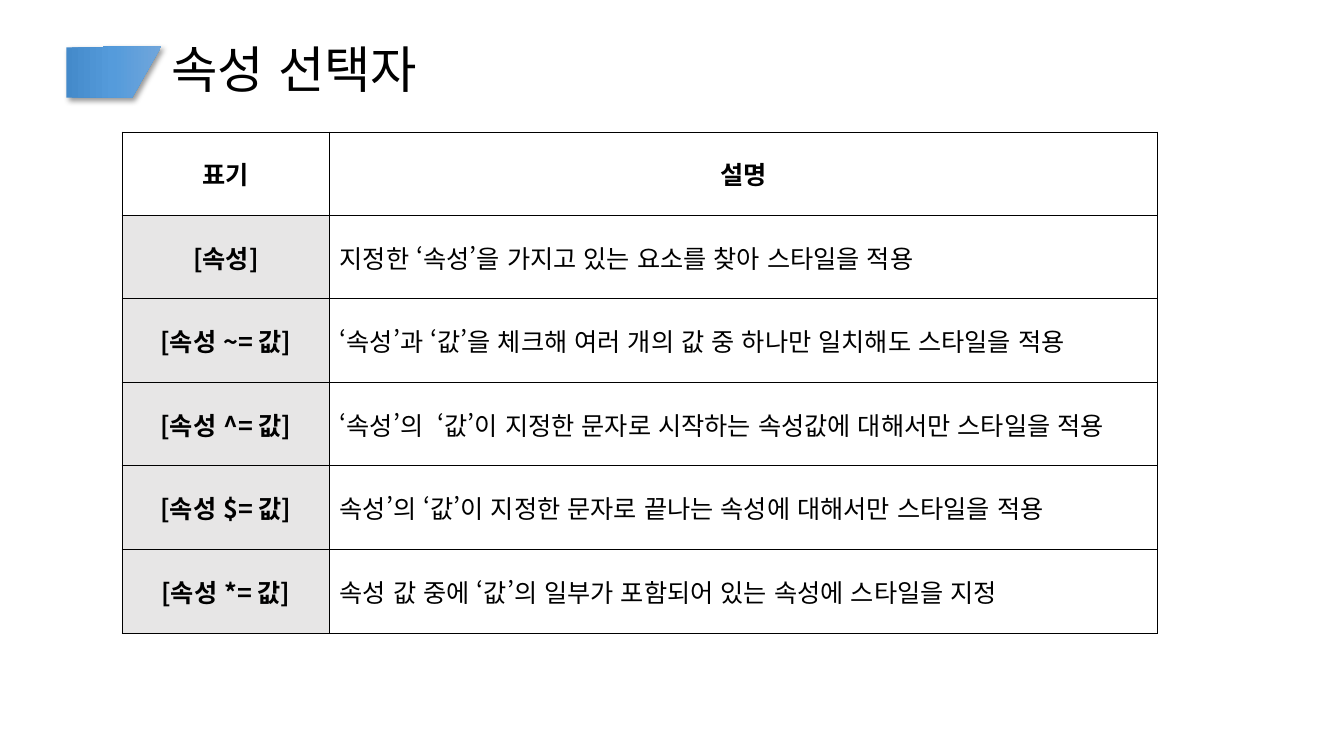
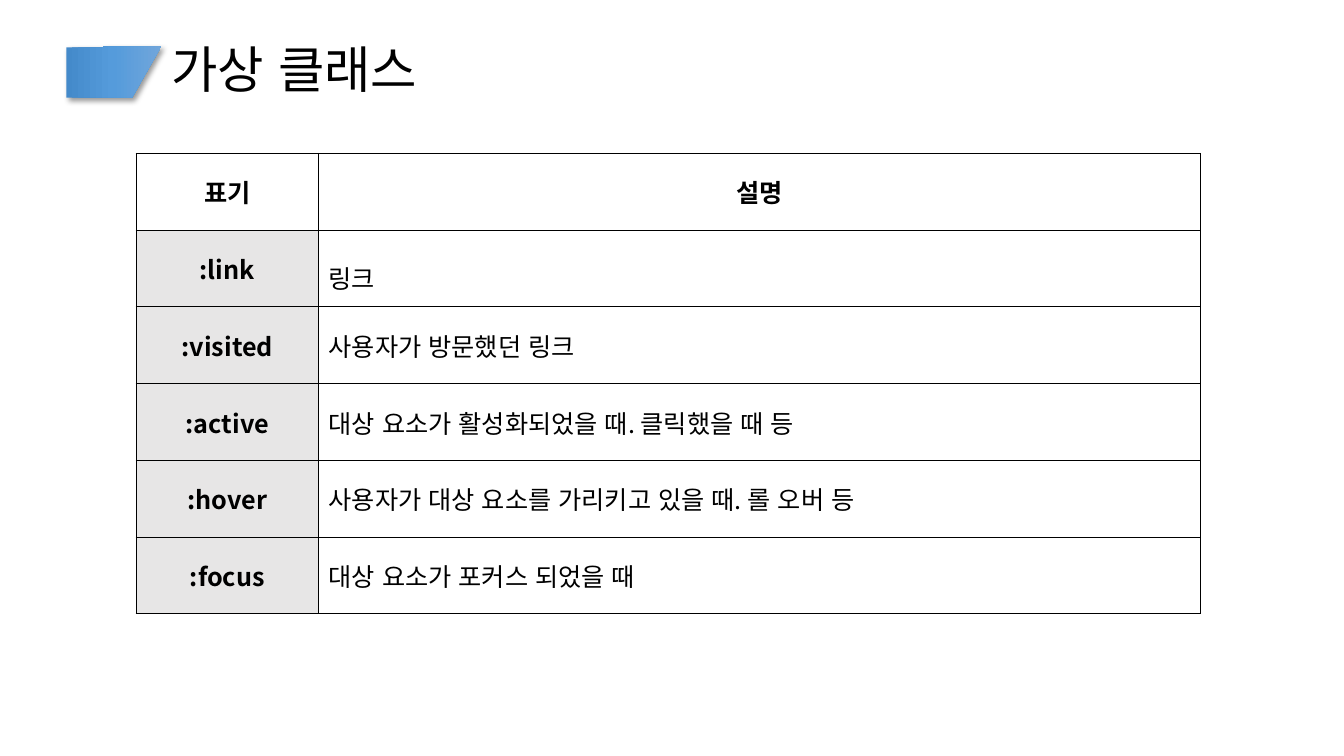
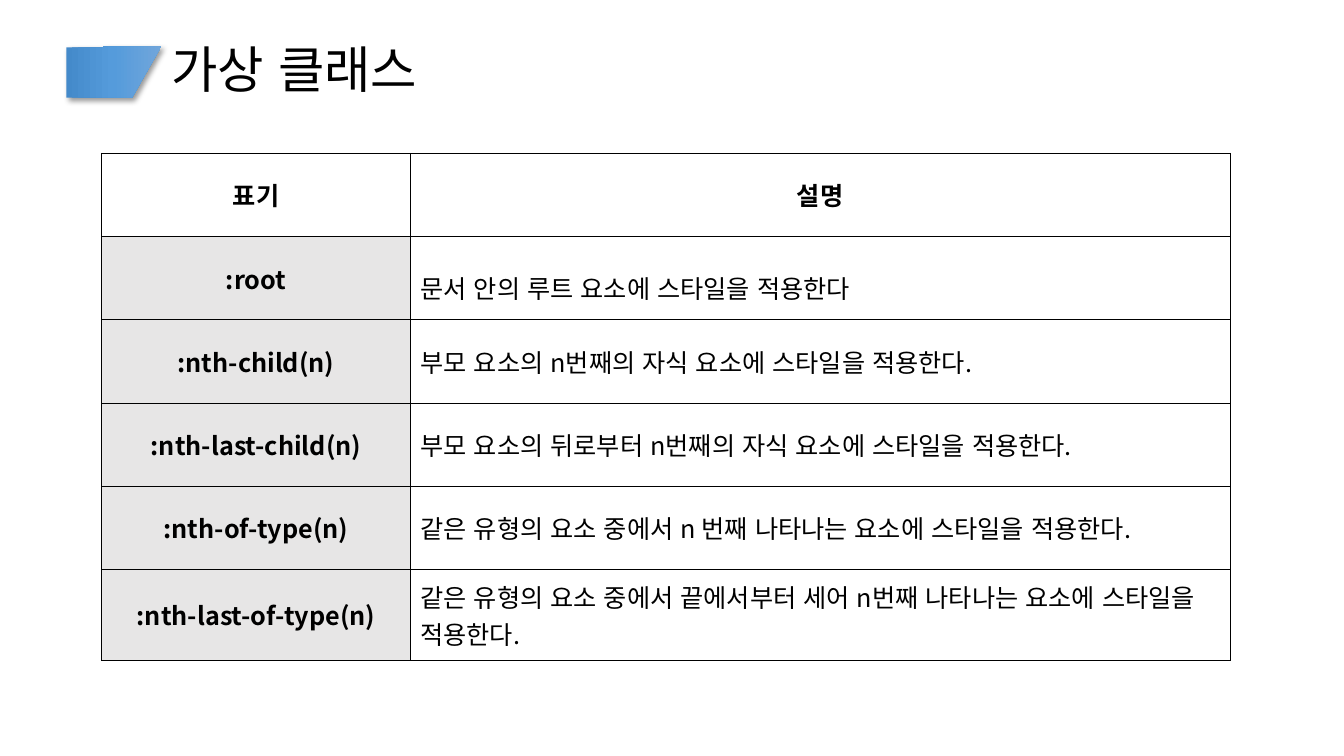
import dataclasses

import lxml.etree
import pptx
import pptx.dml.color
import pptx.enum.lang
import pptx.enum.text
import pptx.oxml
import pptx.oxml.ns
import pptx.util

Inches = pptx.util.Inches
Pt = pptx.util.Pt
qn = pptx.oxml.ns.qn
ALIGN = pptx.enum.text.PP_ALIGN
MIDDLE = pptx.enum.text.MSO_ANCHOR.MIDDLE
KOREAN = pptx.enum.lang.MSO_LANGUAGE_ID.KOREAN


@dataclasses.dataclass(frozen=True)
class Theme:
    font: str = "Noto Sans CJK KR"
    ink: str = "000000"
    shade: str = "E7E6E6"
    blues: tuple = ("448ACA", "559BDB", "71A6DB")
    title: int = 36
    body: int = 18
    rule: float = 0.75


THEME = Theme()
HEAD = ("표기", "설명")

SLIDES = [
    {
        "title": "속성 선택자",
        "box": (1.21, 1.31, 10.27, 4.97),
        "key": 2.06,
        "last": 0.83,
        "lead": 1.0,
        "rows": [
            ("[속성]", "지정한 ‘속성’을 가지고 있는 요소를 찾아 스타일을 적용"),
            ("[속성 ~= 값]", "‘속성’과 ‘값’을 체크해 여러 개의 값 중 하나만 일치해도 스타일을 적용"),
            ("[속성 ^= 값]", "‘속성’의  ‘값’이 지정한 문자로 시작하는 속성값에 대해서만 스타일을 적용"),
            ("[속성 $= 값]", "속성’의 ‘값’이 지정한 문자로 끝나는 속성에 대해서만 스타일을 적용"),
            ("[속성 *= 값]", "속성 값 중에 ‘값’의 일부가 포함되어 있는 속성에 스타일을 지정"),
        ],
    },
    {
        "title": "가상 클래스",
        "box": (1.35, 1.52, 10.56, 4.57),
        "key": 1.81,
        "last": 0.76,
        "lead": 1.5,
        "rows": [
            (":link", "링크"),
            (":visited", "사용자가 방문했던 링크"),
            (":active", "대상 요소가 활성화되었을 때. 클릭했을 때 등"),
            (":hover", "사용자가 대상 요소를 가리키고 있을 때. 롤 오버 등"),
            (":focus", "대상 요소가 포커스 되었을 때"),
        ],
    },
    {
        "title": "가상 클래스",
        "box": (1.01, 1.52, 11.19, 5.03),
        "key": 3.06,
        "last": 0.9,
        "lead": 1.5,
        "rows": [
            (":root", "문서 안의 루트 요소에 스타일을 적용한다"),
            (":nth-child(n)", "부모 요소의 n번째의 자식 요소에 스타일을 적용한다."),
            (":nth-last-child(n)", "부모 요소의 뒤로부터 n번째의 자식 요소에 스타일을 적용한다."),
            (":nth-of-type(n)", "같은 유형의 요소 중에서 n 번째 나타나는 요소에 스타일을 적용한다."),
            (":nth-last-of-type(n)", "같은 유형의 요소 중에서 끝에서부터 세어 n번째 나타나는 요소에 스타일을 적용한다."),
        ],
    },
]


def tint(hue):
    return pptx.dml.color.RGBColor.from_string(hue)


def add(node, tag, **attrs):
    return lxml.etree.SubElement(node, qn(tag), attrs)


def write(frame, text, size, bold=False, align=ALIGN.LEFT, space=1.0):
    frame.text = text
    para = frame.paragraphs[0]
    para.alignment = align
    para.line_spacing = space
    for run in para.runs:
        font = run.font
        font.name = THEME.font
        font.size = Pt(size)
        font.bold = bold
        font.language_id = KOREAN
        font.color.rgb = tint(THEME.ink)
        add(font._element, "a:ea", typeface=THEME.font)


def draw_flag(slide, left, top, width, height):
    slant = 0.29
    points = [
        (left, top + 0.01),
        (left + 0.36, top + 0.01),
        (left + 0.37, top),
        (left + width, top),
        (left + width - slant, top + height),
        (left, top + height),
    ]
    spots = [(Inches(x), Inches(y)) for x, y in points]
    maker = slide.shapes.build_freeform(*spots[0])
    maker.add_line_segments(spots[1:], close=True)
    flag = maker.convert_to_shape()
    flag.line.fill.background()
    flag.fill.gradient()
    flag.fill.gradient_angle = 0
    props = flag._element.spPr
    stops = props.find(qn("a:gradFill")).find(qn("a:gsLst"))
    for stop in list(stops):
        stops.remove(stop)
    for place, hue in zip((0, 50000, 100000), THEME.blues):
        add(add(stops, "a:gs", pos=str(place)), "a:srgbClr", val=hue)
    flag.shadow.inherit = False
    cast = add(
        props.find(qn("a:effectLst")), "a:outerShdw",
        blurRad=str(Pt(4)), dist=str(Pt(3)), dir="2700000", algn="tl", rotWithShape="0",
    )
    add(add(cast, "a:srgbClr", val=THEME.ink), "a:alpha", val="40000")


def draw_title(slide, text, left, top, width, height):
    draw_flag(slide, left, top + 0.13, 0.94, 0.51)
    label = slide.shapes.add_textbox(
        Inches(left + 0.94), Inches(top), Inches(width - 0.94), Inches(height)
    )
    frame = label.text_frame
    frame.word_wrap = True
    frame.vertical_anchor = MIDDLE
    write(frame, text, THEME.title, space=0.9)


def rule_cell(cell):
    props = cell._tc.get_or_add_tcPr()
    for rank, side in enumerate(("a:lnL", "a:lnR", "a:lnT", "a:lnB")):
        edge = add(props, side, w=str(Pt(THEME.rule)))
        add(add(edge, "a:solidFill"), "a:srgbClr", val=THEME.ink)
        props.insert(rank, edge)


def draw_table(slide, data):
    left, top, width, height = data["box"]
    rows = [HEAD] + data["rows"]
    frame = slide.shapes.add_table(
        len(rows), 2, Inches(left), Inches(top), Inches(width), Inches(height)
    )
    table = frame.table
    table.first_row = False
    table.horz_banding = False
    table.columns[0].width = Inches(data["key"])
    table.columns[1].width = Inches(width - data["key"])
    step = (height - data["last"]) / (len(rows) - 1)
    for r, texts in enumerate(rows):
        table.rows[r].height = Inches(data["last"] if r == len(rows) - 1 else step)
        for c, text in enumerate(texts):
            cell = table.cell(r, c)
            strong = r == 0 or c == 0
            cell.vertical_anchor = MIDDLE
            if r and c == 0:
                cell.fill.solid()
                cell.fill.fore_color.rgb = tint(THEME.shade)
            else:
                cell.fill.background()
            rule_cell(cell)
            write(
                cell.text_frame, text, THEME.body, strong,
                ALIGN.CENTER if strong else ALIGN.LEFT,
                data["lead"] if (r, c) == (1, 1) else 1.0,
            )


def main():
    deck = pptx.Presentation()
    deck.slide_width = Inches(13.33)
    deck.slide_height = Inches(7.5)
    for data in SLIDES:
        slide = deck.slides.add_slide(deck.slide_layouts[6])
        draw_title(slide, data["title"], 0.66, 0.33, 11.39, 0.77)
        draw_table(slide, data)
    deck.save("out.pptx")


if __name__ == "__main__":
    main()
